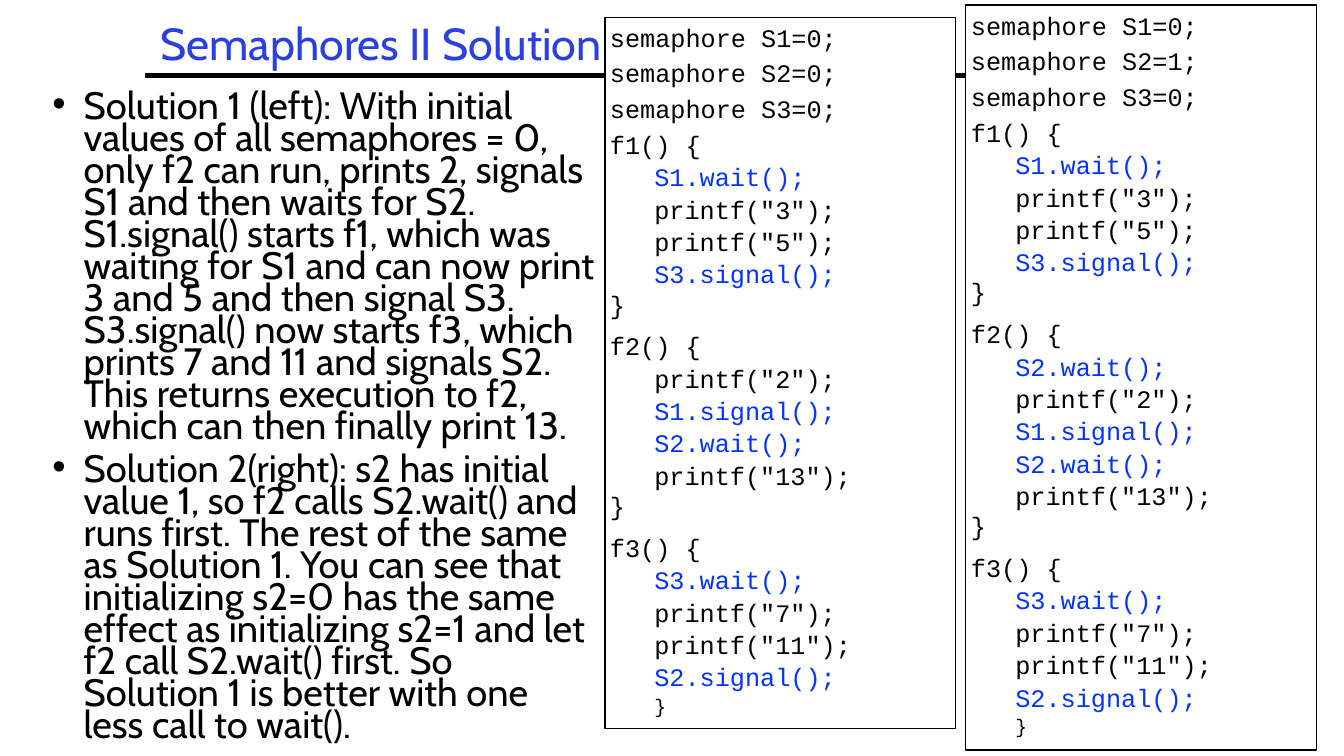
from pptx import Presentation
from pptx.dml.color import RGBColor
from pptx.enum.shapes import MSO_CONNECTOR, MSO_SHAPE
from pptx.enum.text import MSO_ANCHOR, MSO_AUTO_SIZE, PP_ALIGN
from pptx.util import Inches, Pt
from lxml import etree

RECTANGLE, STRAIGHT = MSO_SHAPE.RECTANGLE, MSO_CONNECTOR.STRAIGHT
TOP, MIDDLE = MSO_ANCHOR.TOP, MSO_ANCHOR.MIDDLE
LEFT, CENTER = PP_ALIGN.LEFT, PP_ALIGN.CENTER
NO_FIT = MSO_AUTO_SIZE.NONE
DRAWING = "{http://schemas.openxmlformats.org/drawingml/2006/main}"
BLACK, WHITE, TITLE_BLUE, CALL_BLUE = "000000", "FFFFFF", "2A40E2", "0433FF"

# Content
TITLE = "Semaphores II Solution"
EXPLANATIONS = [
    "Solution 1 (left): With initial values of all semaphores = 0, only f2 can run, "
    "prints 2, signals S1 and then waits for S2. S1.signal() starts f1, which was "
    "waiting for S1 and can now print 3 and 5 and then signal S3. S3.signal() now "
    "starts f3, which prints 7 and 11 and signals S2. This returns execution to f2, "
    "which can then finally print 13.",
    "Solution 2(right): s2 has initial value 1, so f2 calls S2.wait() and runs first. "
    "The rest of the same as Solution 1. You can see that initializing s2=0 has the "
    "same effect as initializing s2=1 and let f2 call S2.wait() first. So Solution 1 "
    "is better with one less call to wait().",
]
F1 = ["S1.wait();", 'printf("3");', 'printf("5");', "S3.signal();"]
F2 = ['printf("2");', "S1.signal();", "S2.wait();", 'printf("13");']
F3 = ["S3.wait();", 'printf("7");', 'printf("11");', "S2.signal();"]

# Each solution: initial values of S1 to S3, function bodies, top and height of its box
SOLUTIONS = [
    ((0, 0, 0), (F1, F2, F3), 0.17, 7.06),
    ((0, 1, 0), (F1, ["S2.wait();"] + F2, F3), 0.05, 7.39),
]
BOX_LEFT, BOX_WIDTH, BOX_PITCH = 6, 3.48, 3.58
MARGIN, CODE_INDENT = 0.05, 0.49


def color(hex_value):
    return RGBColor.from_string(hex_value)


def set_font(paragraph, name, size, hex_value):
    paragraph.font.name = name
    paragraph.font.size = Pt(size)
    paragraph.font.color.rgb = color(hex_value)


def set_indent(paragraph, left, first=0):
    properties = paragraph._p.get_or_add_pPr()
    properties.set("marL", str(Inches(left)))
    properties.set("indent", str(Inches(first)))


def place(shape, left, top, width, height):
    shape.left, shape.top = Inches(left), Inches(top)
    shape.width, shape.height = Inches(width), Inches(height)


def code_lines(values, bodies):
    """Yield text, indent, space before, size and colour of each line."""
    for number, value in enumerate(values, 1):
        yield f"semaphore S{number}={value};", MARGIN, 3.9, 18, BLACK
    for number, body in enumerate(bodies, 1):
        yield f"f{number}() {{", MARGIN, 3.9 if number == 1 else 8.3, 18, BLACK
        for call in body:
            call_color = BLACK if call.startswith("printf") else CALL_BLUE
            yield call, CODE_INDENT, 1.5, 18, call_color
        if number < len(bodies):
            yield "}", MARGIN, 0, 18, BLACK
        else:
            yield "}", CODE_INDENT, 1.4, 14, BLACK


def add_code_box(slide, column, values, bodies, top, height):
    box = slide.shapes.add_shape(RECTANGLE, 0, 0, 0, 0)
    place(box, BOX_LEFT + column * BOX_PITCH, top, BOX_WIDTH, height)
    box.shadow.inherit = False
    box.fill.solid()
    box.fill.fore_color.rgb = color(WHITE)
    box.line.color.rgb = color(BLACK)
    box.line.width = Pt(0.82)
    frame = box.text_frame
    frame.word_wrap = True
    frame.vertical_anchor = TOP
    frame.margin_left = frame.margin_right = frame.margin_bottom = 0
    frame.margin_top = Inches(MARGIN)
    lines = list(code_lines(values, bodies))
    frame.text = "\n".join(line[0] for line in lines)
    for paragraph, (_, indent, before, size, hex_value) in zip(frame.paragraphs, lines):
        paragraph.alignment = LEFT
        paragraph.space_before = Pt(before)
        set_indent(paragraph, indent)
        set_font(paragraph, "Courier New", size, hex_value)


presentation = Presentation()
presentation.slide_width, presentation.slide_height = Inches(13.33), Inches(7.5)
slide = presentation.slides.add_slide(presentation.slide_layouts[1])

# Title and the rule under it
title = slide.shapes.title
place(title, 0, 0.17, 7.56, 0.58)
title.text_frame.text = TITLE
title.text_frame.auto_size = NO_FIT
title.text_frame.vertical_anchor = MIDDLE
heading = title.text_frame.paragraphs[0]
heading.alignment = CENTER
heading.line_spacing = 0.9
set_font(heading, "Cabin", 32, TITLE_BLUE)

rule = slide.shapes.add_connector(
    STRAIGHT, Inches(1.44), Inches(0.75), Inches(11.89), Inches(0.75))
rule.line.color.rgb = color(BLACK)
rule.line.width = Pt(3)
etree.SubElement(rule._element.spPr, DRAWING + "effectLst")

# Explanations
body = slide.placeholders[1]
place(body, 0.42, 0.88, 5.58, 6.7)
body.text_frame.auto_size = NO_FIT
body.text_frame.text = "\n".join(EXPLANATIONS)
for paragraph in body.text_frame.paragraphs:
    paragraph.line_spacing = 0.7
    paragraph.space_before = Pt(8)
    set_indent(paragraph, 0.31, -0.31)
    set_font(paragraph, "Cabin", 27.2, BLACK)

# Code of both solutions
for column, solution in enumerate(SOLUTIONS):
    add_code_box(slide, column, *solution)

presentation.save("out.pptx")
